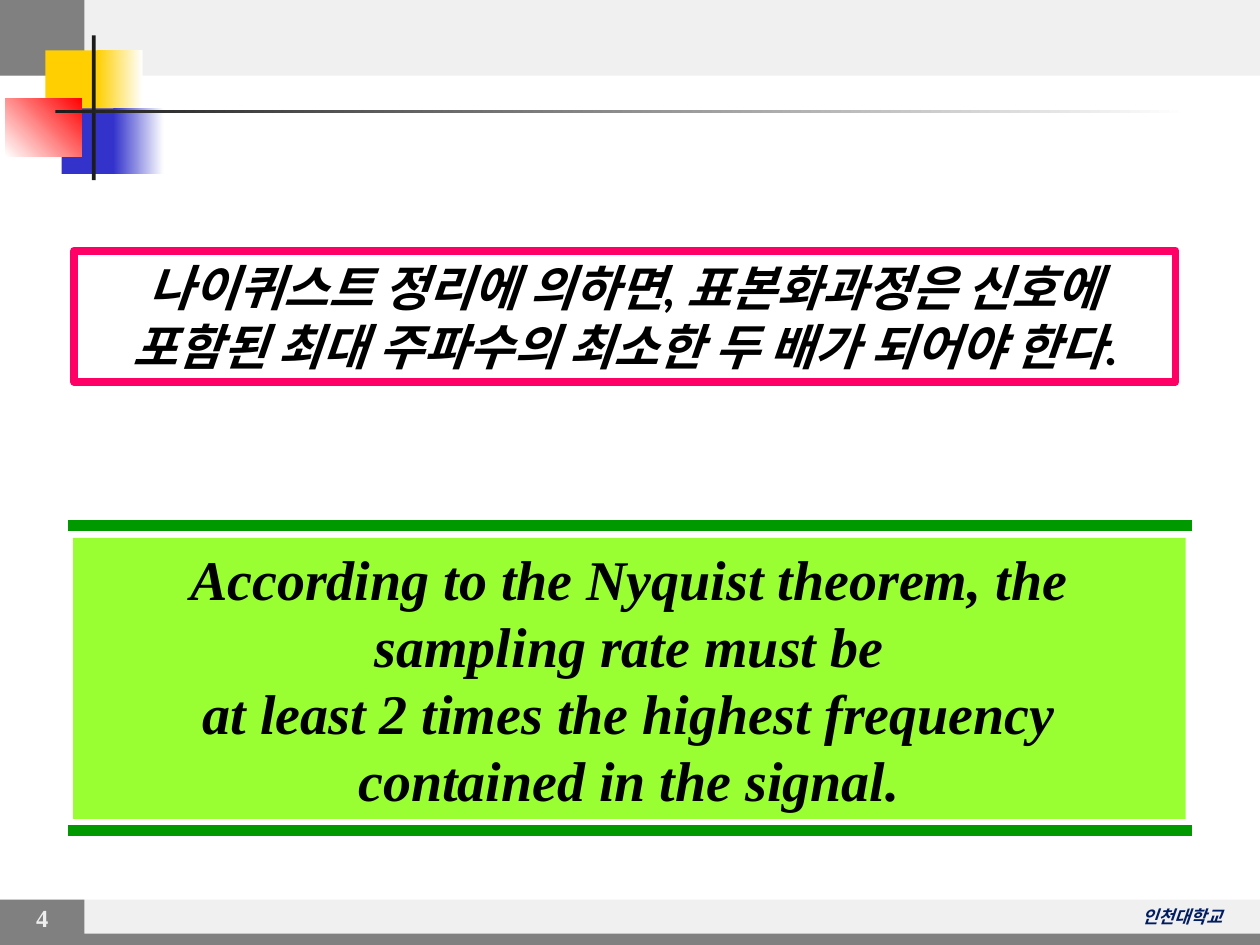
from dataclasses import dataclass

from lxml.etree import SubElement
from pptx import Presentation
from pptx.dml.color import RGBColor as RGB
from pptx.enum.shapes import MSO_CONNECTOR as CONN, MSO_SHAPE as SHAPE
from pptx.enum.text import MSO_ANCHOR as ANCHOR, PP_ALIGN as ALIGN
from pptx.oxml.ns import qn
from pptx.util import Inches, Pt


@dataclass(frozen=True)
class Theme:
    band: str = "F0F0F0"
    gray: str = "808080"
    number: str = "EEEEEE"
    navy: str = "011C61"
    green: str = "009900"
    lime: str = "99FF33"
    yellow: str = "FFCF01"
    blue: str = "3333CC"
    red: str = "FF0000"
    pink: str = "FF0066"
    ink: str = "1C1C1C"
    black: str = "000000"
    white: str = "FFFFFF"
    serif: str = "Times New Roman"
    sans: str = "Lato"
    korean: str = "Noto Sans CJK KR"
    english_size: int = 32
    korean_size: int = 28
    number_size: int = 14
    footer_size: int = 10


def write(tf, text, *, size, font, color, align=ALIGN.CENTER, italic=True,
          anchor=ANCHOR.MIDDLE, spacing=None):
    tf.word_wrap = True
    tf.vertical_anchor = anchor
    for i, line in enumerate(text.split("\n")):
        p = tf.paragraphs[0] if i == 0 else tf.add_paragraph()
        p.alignment = align
        if spacing:
            p.line_spacing = Pt(spacing)
        r = p.add_run()
        r.text = line
        r.font.size = Pt(size)
        r.font.name = font
        r.font.bold = True
        r.font.italic = italic
        r.font.color.rgb = RGB.from_string(color)
        SubElement(r.font._element, qn("a:ea")).set("typeface", font)


class SlideBuilder:
    def __init__(self, slide, theme):
        self.s = slide
        self.theme = theme

    def rect(self, x, y, w, h, fill, line=None, line_width=1):
        sp = self.s.shapes.add_shape(
            SHAPE.RECTANGLE, Inches(x), Inches(y), Inches(w), Inches(h))
        sp.shadow.inherit = False
        if isinstance(fill, tuple):
            start, end, angle = fill
            sp.fill.gradient()
            sp.fill.gradient_angle = angle
            for stop, color, pos in zip(sp.fill.gradient_stops, (start, end), (0, 1)):
                stop.color.rgb = RGB.from_string(color)
                stop.position = pos
        else:
            sp.fill.solid()
            sp.fill.fore_color.rgb = RGB.from_string(fill)
        if line:
            sp.line.color.rgb = RGB.from_string(line)
            sp.line.width = Pt(line_width)
        else:
            sp.line.fill.background()
        return sp

    def text(self, x, y, w, h, text, **fmt):
        sp = self.s.shapes.add_textbox(Inches(x), Inches(y), Inches(w), Inches(h))
        write(sp.text_frame, text, **fmt)

    def rule(self, x1, x2, y, color, width):
        c = self.s.shapes.add_connector(
            CONN.STRAIGHT, Inches(x1), Inches(y), Inches(x2), Inches(y))
        c.line.color.rgb = RGB.from_string(color)
        c.line.width = Pt(width)
        SubElement(c._element.spPr, qn("a:effectLst"))


def add_frame(b):
    t = b.theme
    for y, h in ((7.14, 0.36), (0, 0.6)):
        b.rect(0, y, 10, h, t.band)
        b.rect(0, y, 0.67, h, t.gray)
    b.text(0.04, 7.12, 0.59, 0.33, "4", size=t.number_size, font=t.serif,
           color=t.number, italic=False)
    b.text(8.15, 7.14, 1.65, 0.27, "인천대학교", size=t.footer_size, font=t.korean,
           color=t.navy, align=ALIGN.RIGHT, anchor=ANCHOR.TOP)
    b.rect(0, 7.41, 10, 0.09, t.gray)


def add_ornament(b):
    t = b.theme
    b.rect(0.36, 0.4, 0.48, 0.52, t.yellow)
    b.rect(0.77, 0.4, 0.36, 0.52, (t.yellow, t.white, 0))
    b.rect(0.49, 0.86, 0.46, 0.52, t.blue)
    b.rect(0.9, 0.86, 0.4, 0.52, (t.blue, t.white, 0))
    b.rect(0.04, 0.78, 0.61, 0.46, (t.white, t.red, 45))
    b.rect(0.73, 0.28, 0.03, 1.15, t.ink)
    b.rect(0.44, 0.87, 9, 0.03, (t.ink, t.white, 0))


def add_theorem(b):
    t = b.theme
    for y in (4.17, 6.59):
        b.rule(0.54, 9.46, y, t.green, 6)
    english = b.rect(0.58, 4.27, 8.83, 2.23, t.lime)
    write(english.text_frame,
          "According to the Nyquist theorem, the sampling rate must be\n"
          "at least 2 times the highest frequency contained in the signal.",
          size=t.english_size, font=t.serif, color=t.black, spacing=38.4)
    korean = b.rect(0.59, 1.99, 8.74, 1.04, t.white, t.pink, 4.5)
    write(korean.text_frame,
          "나이퀴스트 정리에 의하면, 표본화과정은 신호에 "
          "포함된 최대 주파수의 최소한 두 배가 되어야 한다.",
          size=t.korean_size, font=t.sans, color=t.black)


def main():
    prs = Presentation()
    prs.slide_width, prs.slide_height = Inches(10), Inches(7.5)
    b = SlideBuilder(prs.slides.add_slide(prs.slide_layouts[6]), Theme())
    add_frame(b)
    add_ornament(b)
    add_theorem(b)
    prs.save("out.pptx")


if __name__ == "__main__":
    main()
